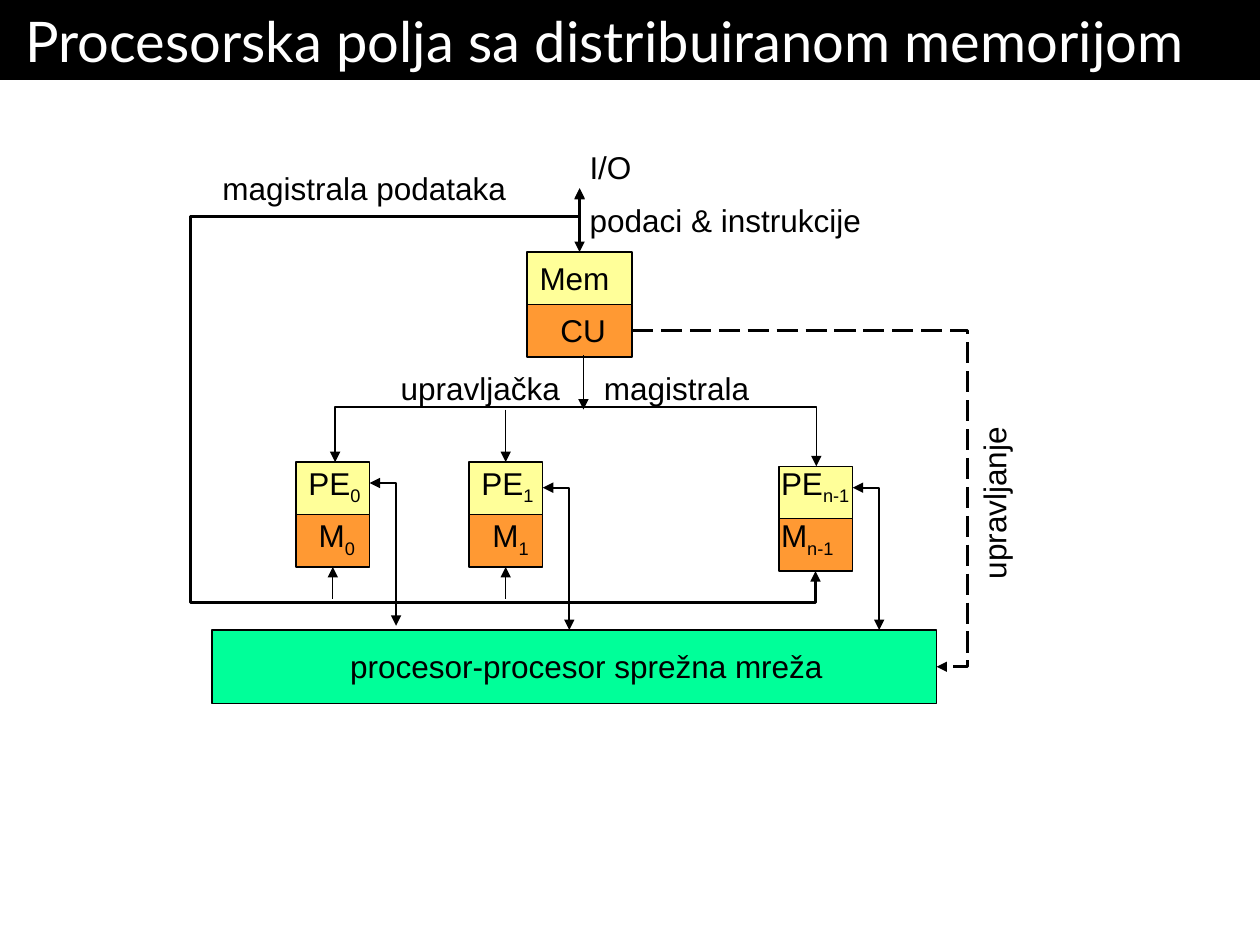
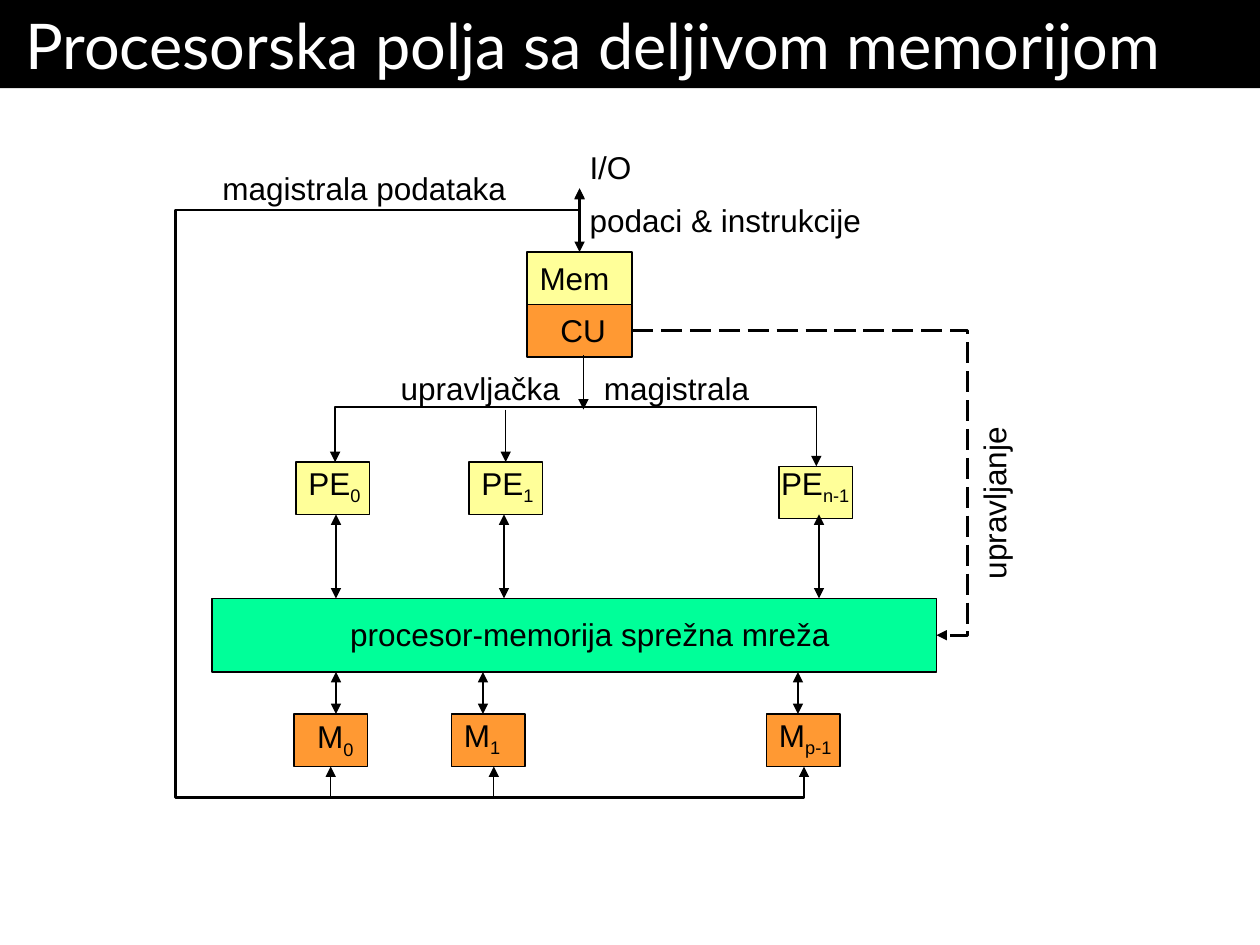
from lxml.etree import SubElement
from pptx import Presentation
from pptx.dml.color import RGBColor
from pptx.enum.dml import MSO_LINE
from pptx.enum.shapes import MSO_CONNECTOR, MSO_SHAPE
from pptx.enum.text import MSO_ANCHOR, MSO_AUTO_SIZE, PP_ALIGN
from pptx.oxml.ns import qn
from pptx.util import Pt

# Shared look
rgb = RGBColor.from_string
BLACK, WHITE = "000000", "FFFFFF"
YELLOW, ORANGE, GREEN = "FFFF99", "FF9933", "00FF99"
CELL_W, CELL_H = 42, 30
NET_X, NET_W, NET_H = 121.2, 414, 42
LABEL_H = 29


def put_text(tf, text, size=18, font="Arial", color=BLACK, anchor=MSO_ANCHOR.BOTTOM,
             wrap=False, fit=MSO_AUTO_SIZE.SHAPE_TO_FIT_TEXT):
    """Write text into a frame; what follows "_" becomes a subscript."""
    tf.word_wrap = wrap
    tf.auto_size = fit
    tf.vertical_anchor = anchor
    p = tf.paragraphs[0]
    p.alignment = PP_ALIGN.LEFT
    for i, part in enumerate(text.split("_")):
        r = p.add_run()
        r.text = part
        r.font.size, r.font.name = Pt(size), font
        r.font.color.rgb = rgb(color)
        if i:
            r.font._element.set("baseline", "-25000")


def add_line(slide, x1, y1, x2, y2, rails=None, turned=False, arrows="both", width=0.75):
    """Straight connector, or a bent one whose inner segments lie on the rails.

    A turned connector leaves vertically; rails alternate between the axes.
    """
    dx, dy = x2 - x1, y2 - y1
    ends = x1, y1, x2, y2
    if turned:
        cx, cy = (x1 + x2) / 2, (y1 + y2) / 2
        ends = cx - dy / 2, cy + dx / 2, cx + dy / 2, cy - dx / 2
    kind = MSO_CONNECTOR.STRAIGHT if rails is None else MSO_CONNECTOR.ELBOW
    c = slide.shapes.add_connector(kind, *[Pt(v) for v in ends])
    c.line.color.rgb = rgb(BLACK)
    c.line.width = Pt(width)
    sp_pr = c._element.spPr
    if turned:
        sp_pr.find(qn("a:xfrm")).set("rot", "5400000")
    if rails is not None:
        geom = sp_pr.find(qn("a:prstGeom"))
        geom.set("prst", f"bentConnector{2 + len(rails)}")
        for i, rail in enumerate(rails):
            vertical = turned == (i % 2 == 0)
            share = (rail - y1) / dy if vertical else (rail - x1) / dx
            SubElement(geom.find(qn("a:avLst")), qn("a:gd"),
                       name=f"adj{i + 1}", fmla=f"val {round(share * 100000)}")
    ln = c.line._get_or_add_ln()
    for side, tag in (("start", "a:headEnd"), ("end", "a:tailEnd")):
        if arrows in (side, "both"):
            SubElement(ln, qn(tag), type="triangle")
    SubElement(sp_pr, qn("a:effectLst"))
    return c


# What differs between the two slides
PES = [(169.2, 264), (268, 264), (445.2, 266.4)]
SLIDES = [
    dict(title="Procesorska polja sa distribuiranom memorijom", size=32, band=45.6,
         network="procesor-procesor sprežna mreža", net_y=360, net_label_w=284.4,
         memories=[(x, y + CELL_H) for x, y in PES],
         mem_labels=[("M_0", 175, 294, 36), ("M_1", 274.3, 294, 36), ("M_n-1", 439.2, 294, 54)],
         bus=[123.8, 108.7, 344.3], bus_end=(466, 326.4), taps=[190.2, 289], tap_end=342),
    dict(title="Procesorska polja sa deljivom memorijom", size=36, band=50.4,
         network="procesor-memorija sprežna mreža", net_y=342, net_label_w=288.7,
         memories=[(168, 408), (258, 408), (438, 408)],
         mem_labels=[("M_0", 174.2, 409, 36), ("M_1", 258, 408, 36), ("M_p-1", 438, 408, 54)],
         bus=[120.2, 100.3, 456], bus_end=(459.4, 438), taps=[189, 282.2], tap_end=456),
]
LABELS = [
    ("PE_0", 169.2, 264, 45), ("PE_1", 268, 264, 45), ("PE_n-1", 439.2, 264, 60),
    ("CU", 313.2, 174, 40.2), ("Mem", 301.2, 144, 54.5),
    ("magistrala podataka", 120, 92.8, 176.4),
    ("upravljačka", 221.8, 206.8, 105.3), ("magistrala", 338, 206.8, 97.2),
    ("upravljanje", 517, 272.9, 101.5),
    ("podaci & instrukcije", 329.8, 110.9, 173), ("I/O", 329.8, 80.6, 38.2),
]

prs = Presentation()
prs.slide_width, prs.slide_height = Pt(720), Pt(540)

for d in SLIDES:
    s = prs.slides.add_slide(prs.slide_layouts[5])

    # Title band
    title = s.shapes.title
    title.left, title.top, title.width, title.height = Pt(0), Pt(0), Pt(720), Pt(d["band"])
    title.fill.solid()
    title.fill.fore_color.rgb = rgb(BLACK)
    tf = title.text_frame
    tf.margin_left = tf.margin_right = Pt(14.4)
    tf.margin_top = tf.margin_bottom = Pt(3.6)
    put_text(tf, d["title"], size=d["size"], font="Lato", color=WHITE,
             anchor=MSO_ANCHOR.TOP, wrap=True, fit=MSO_AUTO_SIZE.NONE)

    # Boxes: processors, memories, network, control unit
    net_y = d["net_y"]
    boxes = [(x, y, CELL_W, CELL_H, YELLOW) for x, y in PES]
    boxes += [(x, y, CELL_W, CELL_H, ORANGE) for x, y in d["memories"]]
    boxes += [(NET_X, net_y, NET_W, NET_H, GREEN),
              (301.2, 144, 60, CELL_H, YELLOW), (301.2, 174, 60, CELL_H, ORANGE)]
    shapes = []
    for *at, fill in boxes:
        sp = s.shapes.add_shape(MSO_SHAPE.RECTANGLE, *[Pt(v) for v in at])
        sp.shadow.inherit = False
        sp.fill.solid()
        sp.fill.fore_color.rgb = rgb(fill)
        sp.line.color.rgb = rgb(BLACK)
        sp.line.width = Pt(0.75)
        shapes.append(sp)
    pes, mems, mem = shapes[:3], shapes[3:6], shapes[7]

    # Input/output and control bus
    add_line(s, 331.2, 144, 331.2, 108, width=1.5).begin_connect(mem, 0)
    add_line(s, 191.5, 264, 466.5, 266.4, rails=[232.6], turned=True)
    add_line(s, 289, 234, 289, 264, arrows="end").end_connect(pes[1], 0)
    add_line(s, 333.4, 203, 333.4, 234, arrows="end")

    # Data bus with taps to the memories
    add_line(s, 331.2, 107.5, *d["bus_end"], rails=d["bus"], turned=True, width=1.5)
    for x, sp, (mx, my) in zip(d["taps"], mems, d["memories"]):
        tap = add_line(s, x, my + CELL_H, x, d["tap_end"], arrows="start")
        if x == mx + CELL_W / 2:
            tap.begin_connect(sp, 2)

    # Control of the network
    control = add_line(s, 361.2, 189, NET_X + NET_W, net_y + NET_H / 2,
                       rails=[553], arrows="end", width=1.5)
    control.line.dash_style = MSO_LINE.LONG_DASH

    # Links to the network
    if d is SLIDES[0]:
        for x, y, end in ((211.2, 276, 357.6), (310.2, 278.7, 360), (487.3, 278.7, 360)):
            add_line(s, x, y, x + 15.1, end, rails=[], width=1)
    else:
        for x in (192, 288, 468):
            add_line(s, x, 294, x, net_y, width=1)
        for x in (192, 276, 456):
            add_line(s, x, 408, x, net_y + NET_H)

    # Labels
    net_label = (d["network"], 193, net_y + 5.8, d["net_label_w"])
    for text, x, y, w in LABELS + d["mem_labels"] + [net_label]:
        tb = s.shapes.add_textbox(Pt(x), Pt(y), Pt(w), Pt(LABEL_H))
        put_text(tb.text_frame, text, wrap="_" in text)
        if text == "upravljanje":
            tb.rotation = 270

prs.save("out.pptx")
